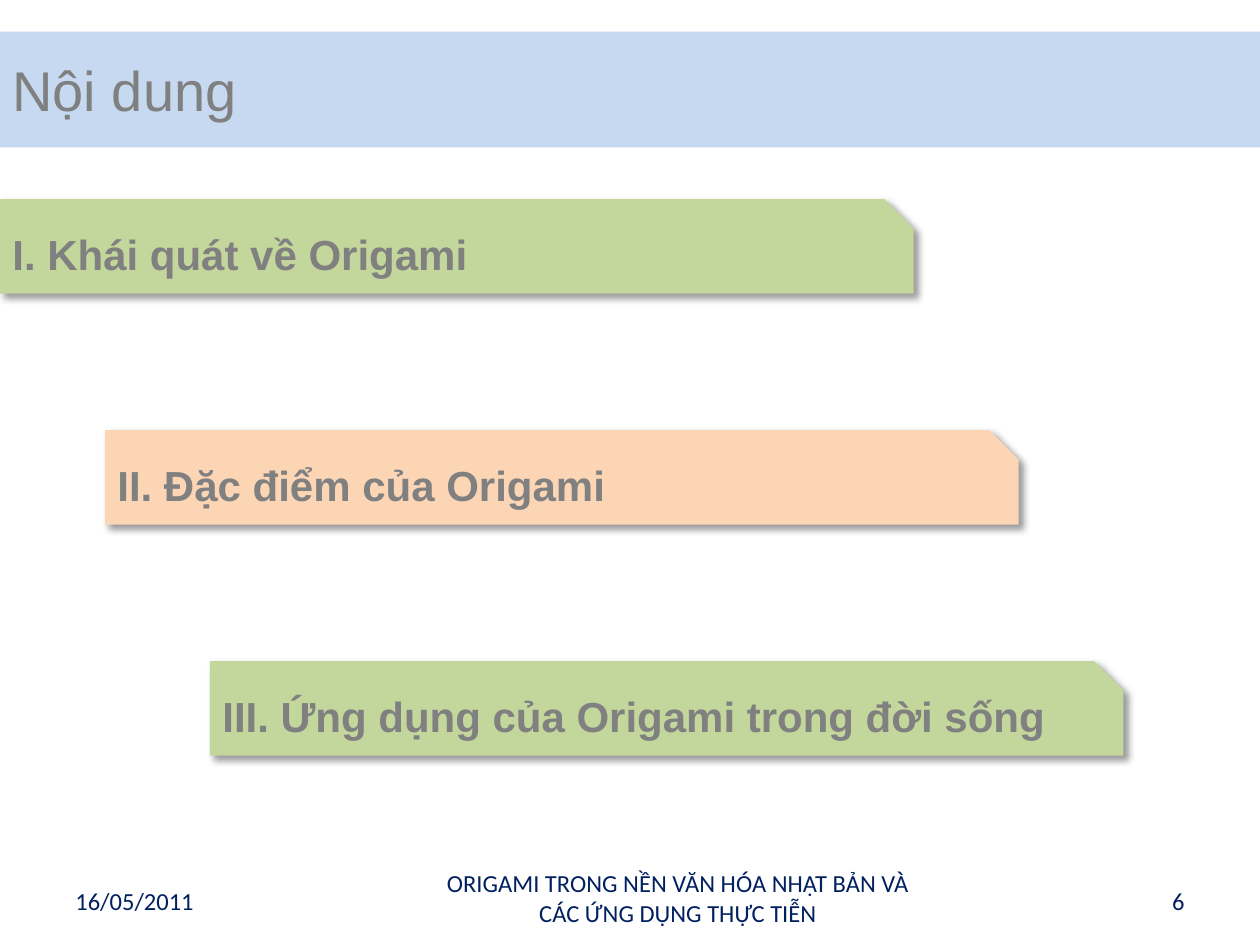
import pptx
import pptx.util
import pptx.dml.color
import pptx.enum.shapes
import pptx.enum.text
import pptx.oxml

Inch = pptx.util.Inches
Kind = pptx.enum.shapes.MSO_SHAPE
Align = pptx.enum.text.PP_ALIGN

# Content
TITLE = "Nội dung"
PARTS = [
    ("I. Khái quát về Origami", "green"),
    ("II. Đặc điểm của Origami", "peach"),
    ("III. Ứng dụng của Origami trong đời sống", "green"),
]
FOOT = [  # text, alignment, box
    ("16/05/2011", Align.LEFT, (0.5, 6.95, 2.33, 0.4)),
    ("ORIGAMI TRONG NỀN VĂN HÓA NHẬT BẢN VÀ CÁC ỨNG DỤNG THỰC TIỄN",
     Align.CENTER, (3.42, 6.75, 3.92, 0.75)),
    ("6", Align.RIGHT, (7.17, 6.95, 2.33, 0.4)),
]

# Theme
THEME = {
    "blue": "C6D9F1", "green": "C3D69B", "peach": "FCD5B5",
    "title": {"name": "Arial", "size": 32, "color": "808080", "bold": False},
    "part": {"name": "Arial", "size": 24, "color": "808080", "bold": True},
    "foot": {"name": "Calibri", "size": 14, "color": "002060", "bold": False},
}
SHADOW = (
    '<a:outerShdw xmlns:a="http://schemas.openxmlformats.org/drawingml/2006/main"'
    ' blurRad="50800" dist="38100" dir="2700000" algn="tl" rotWithShape="0">'
    '<a:srgbClr val="000000"><a:alpha val="40000"/></a:srgbClr></a:outerShdw>'
)

# Grid
WIDE, HIGH = 10, 7.5
STEP_X, STEP_Y = WIDE / 12, HIGH * 11 / 45
TOP = 1.58
BAR = (7.25, 0.75)


def color(hue):
    return pptx.dml.color.RGBColor.from_string(hue)


def write(shape, text, style, align=Align.LEFT):
    frame = shape.text_frame
    frame.word_wrap = True
    frame.vertical_anchor = pptx.enum.text.MSO_ANCHOR.MIDDLE
    para = frame.paragraphs[0]
    para.alignment = align
    run = para.add_run()
    run.text = text
    for key, value in THEME[style].items():
        if key == "color":
            run.font.color.rgb = color(value)
        else:
            setattr(run.font, key, pptx.util.Pt(value) if key == "size" else value)


def block(slide, kind, box, hue):
    shape = slide.shapes.add_shape(kind, *map(Inch, box))
    shape.fill.solid()
    shape.fill.fore_color.rgb = color(THEME[hue])
    shape.line.fill.background()
    shape.shadow.inherit = False
    return shape


def main():
    deck = pptx.Presentation()
    deck.slide_width, deck.slide_height = Inch(WIDE), Inch(HIGH)
    slide = deck.slides.add_slide(deck.slide_layouts[6])

    # Title band
    write(block(slide, Kind.RECTANGLE, (0, 0.25, WIDE, 0.92), "blue"), TITLE, "title")

    # Footer
    for text, align, box in FOOT:
        write(slide.shapes.add_textbox(*map(Inch, box)), text, "foot", align)

    # Staircase of parts
    for row, (text, hue) in enumerate(PARTS):
        box = (row * STEP_X, TOP + row * STEP_Y, *BAR)
        bar = block(slide, Kind.SNIP_1_RECTANGLE, box, hue)
        bar.adjustments[0] = 0.31
        effect = bar.element.spPr.find(pptx.oxml.ns.qn("a:effectLst"))
        effect.append(pptx.oxml.parse_xml(SHADOW))
        write(bar, text, "part")

    deck.save("out.pptx")


if __name__ == "__main__":
    main()
